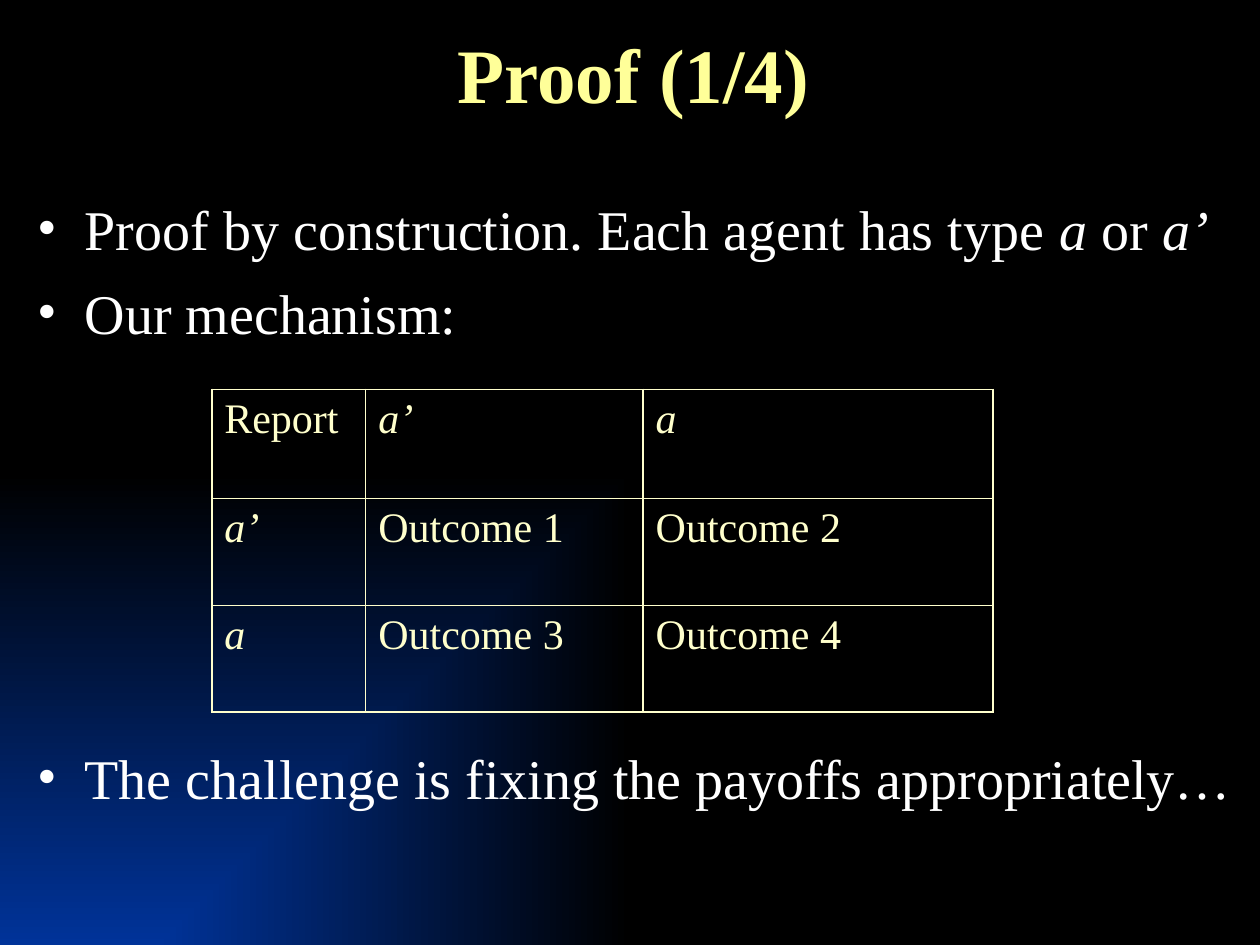
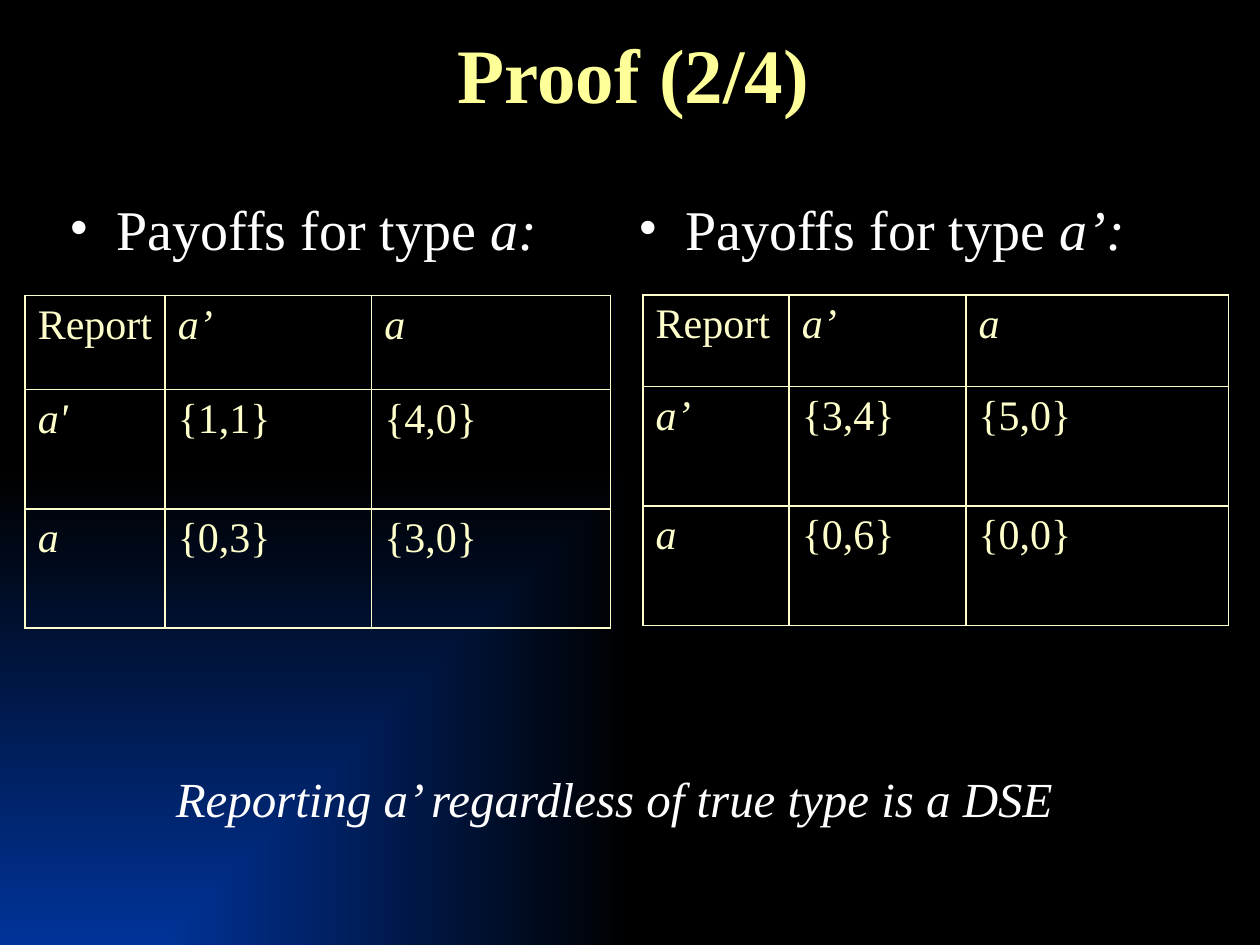
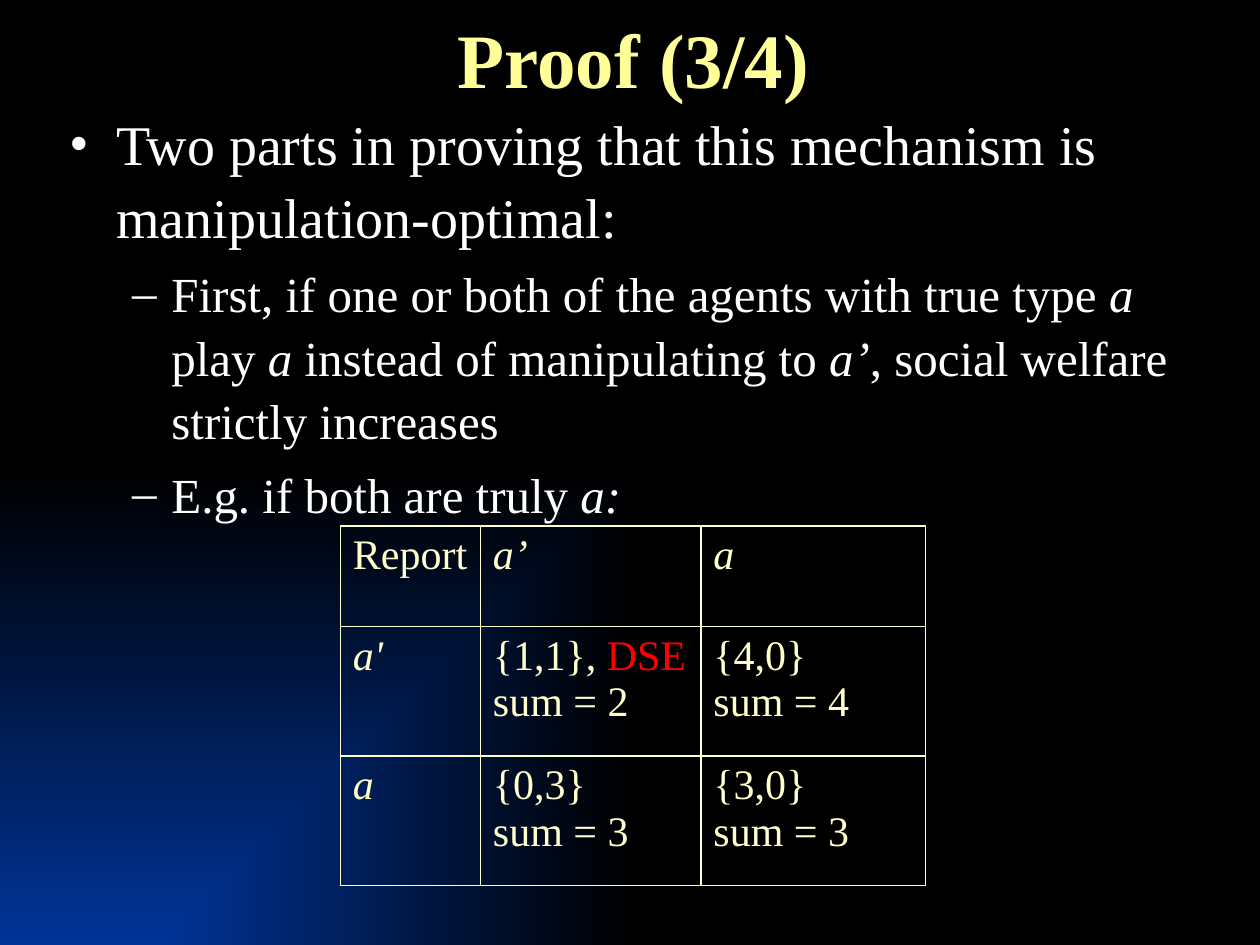
from pptx import Presentation
from pptx.dml.color import RGBColor as Rgb
from pptx.enum.text import MSO_ANCHOR as Anchor, PP_ALIGN as Align
from pptx.oxml import parse_xml
from pptx.oxml.ns import nsdecls
from pptx.util import Pt

COLORS = {
    "blue": "003399",
    "black": "000000",
    "title": "FFFF99",
    "body": "FFFFFF",
    "cell": "FFFFCC",
    "alert": "FF0000",
}
FONT = "Times New Roman"
LEVELS = [("•", 32, 27, 27), ("–", 28, 58.5, 22.5)]


def ital(text):
    return text, {"slant": True}


class Deck:
    def __init__(self):
        self.prs = Presentation()
        self.prs.slide_width, self.prs.slide_height = Pt(720), Pt(540)
        self.slide = None
        self.paint()

    def paint(self):
        master = self.prs.slide_master
        master.background.fill.solid()
        back = master.element.xpath(".//p:bgPr")[0]
        back.replace(back[0], parse_xml(
            f'<a:gradFill {nsdecls("a")} rotWithShape="0"><a:gsLst>'
            f'<a:gs pos="0"><a:srgbClr val="{COLORS["blue"]}"/></a:gs>'
            f'<a:gs pos="100000"><a:srgbClr val="{COLORS["black"]}"/></a:gs>'
            '</a:gsLst><a:path path="rect">'
            '<a:fillToRect t="100000" r="100000"/></a:path></a:gradFill>'))

    def fill(self, par, runs, size, color, bold=False):
        for item in runs:
            text, look = (item, {}) if isinstance(item, str) else item
            run = par.add_run()
            run.text = text
            font = run.font
            font.name, font.size, font.bold = FONT, Pt(size), bold
            font.italic = look.get("slant", False)
            font.color.rgb = Rgb.from_string(COLORS[look.get("color", color)])

    def page(self, title, top=12):
        self.slide = self.prs.slides.add_slide(self.prs.slide_layouts[5])
        head = self.slide.shapes.title
        head.left, head.top, head.width, head.height = map(Pt, (18, top, 688, 59))
        head.text_frame.vertical_anchor = Anchor.MIDDLE
        par = head.text_frame.paragraphs[0]
        par.alignment = Align.CENTER
        self.fill(par, [title], 44, "title", bold=True)

    def box(self, left, top, width, height):
        frame = self.slide.shapes.add_textbox(
            *map(Pt, (left, top, width, height))).text_frame
        frame.word_wrap = True
        return frame

    def points(self, left, top, width, height, *items):
        frame = self.box(left, top, width, height)
        for i, (level, runs) in enumerate(items):
            par = frame.add_paragraph() if i else frame.paragraphs[0]
            mark, size, margin, hang = LEVELS[level]
            par.level = level
            par.line_spacing = 1.08
            par.space_before = Pt(size * 0.2)
            props = par._p.get_or_add_pPr()
            props.set("marL", str(Pt(margin)))
            props.set("indent", str(-Pt(hang)))
            props.append(parse_xml(
                f'<a:buFont {nsdecls("a")} typeface="{FONT}"/>'))
            props.append(parse_xml(f'<a:buChar {nsdecls("a")} char="{mark}"/>'))
            self.fill(par, runs, size, "body")

    def note(self, left, top, width, height, runs):
        par = self.box(left, top, width, height).paragraphs[0]
        par.alignment = Align.CENTER
        self.fill(par, runs, 28, "body")

    def border(self, cell):
        props = cell._tc.get_or_add_tcPr()
        for i, side in enumerate("LRTB"):
            props.insert(i, parse_xml(
                f'<a:ln{side} {nsdecls("a")} w="{Pt(1)}"><a:solidFill>'
                f'<a:srgbClr val="{COLORS["cell"]}"/></a:solidFill></a:ln{side}>'))

    def table(self, left, top, cols, rows, cells):
        grid = self.slide.shapes.add_table(
            len(rows), len(cols),
            *map(Pt, (left, top, sum(cols), sum(rows)))).table
        grid.first_row = grid.horz_banding = False
        for col, width in zip(grid.columns, cols):
            col.width = Pt(width)
        for row, height, line in zip(grid.rows, rows, cells):
            row.height = Pt(height)
            for cell, pars in zip(row.cells, line):
                cell.fill.background()
                self.border(cell)
                frame = cell.text_frame
                for i, runs in enumerate(pars):
                    par = frame.add_paragraph() if i else frame.paragraphs[0]
                    self.fill(par, runs, 24, "cell")


def game(first, second, mark="a’"):
    return [
        [[["Report"]], [[ital("a’")]], [[ital("a")]]],
        [[[ital(mark)]], *first],
        [[[ital("a")]], *second],
    ]


def plain(*lines):
    return [[line] for line in lines]


def main():
    deck = Deck()

    deck.page("Proof (1/4)")
    deck.points(14.4, 104.4, 703, 90,
                (0, ["Proof by construction. Each agent has type ", ital("a"),
                     " or ", ital("a’")]),
                (0, ["Our mechanism:"]))
    deck.table(121, 222.5, [88, 158.5, 200], [62.5, 61, 61],
               game([plain("Outcome 1"), plain("Outcome 2")],
                    [plain("Outcome 3"), plain("Outcome 4")]))
    deck.points(14.4, 418, 703, 46,
                (0, ["The challenge is fixing the payoffs appropriately…"]))

    deck.page("Proof (2/4)")
    for left, kind in ((32.4, "a:"), (357.5, "a’:")):
        deck.points(left, 104.4, 325, 46, (0, ["Payoffs for type ", ital(kind)]))
    deck.table(14.4, 169, [80, 118, 136.5], [53.5, 68.25, 68.25],
               game([plain("{1,1}"), plain("{4,0}")],
                    [plain("{0,3}"), plain("{3,0}")], "a'"))
    deck.table(367.5, 168.5, [83.5, 101, 150], [52.5, 68.25, 68.25],
               game([plain("{3,4}"), plain("{5,0}")],
                    [plain("{0,6}"), plain("{0,0}")]))
    deck.note(43, 435.6, 616, 41,
              [ital("Reporting a’ regardless of true type is a DSE")])

    deck.page("Proof (3/4)", top=3.6)
    deck.points(32.4, 56, 664.5, 235,
                (0, ["Two parts in proving that this mechanism is "
                     "manipulation-optimal:"]),
                (1, ["First, if one or both of the agents with true type ",
                     ital("a"), " play ", ital("a "),
                     "instead of manipulating to ", ital("a’"),
                     ", social welfare strictly increases"]),
                (1, ["E.g. if both are truly ", ital("a:")]))
    best = [["{1,1}, ", ("DSE", {"color": "alert"})], ["sum = 2"]]
    deck.table(194.5, 300.5, [80, 126, 128.5], [57.5, 74, 74],
               game([best, plain("{4,0}", "sum = 4")],
                    [plain("{0,3}", "sum = 3"), plain("{3,0}", "sum = 3")],
                    "a'"))

    deck.prs.save("out.pptx")


if __name__ == "__main__":
    main()
